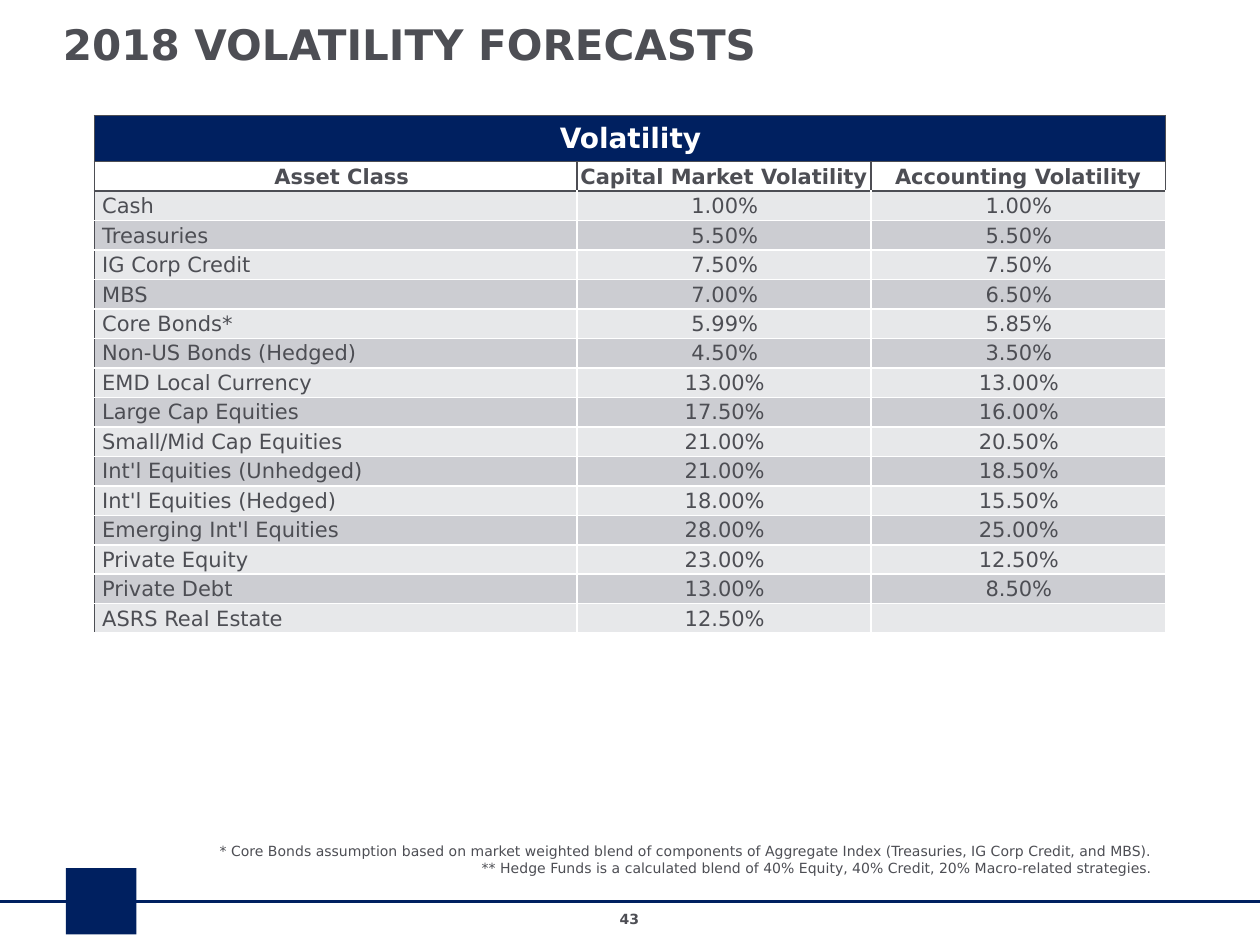
"""Build the 2018 volatility forecasts slide."""
import dataclasses

import pptx
import pptx.dml.color
import pptx.enum.shapes
import pptx.enum.text
import pptx.oxml.ns
import pptx.util
from lxml import etree

Cm = pptx.util.Cm
Pt = pptx.util.Pt
Align = pptx.enum.text.PP_ALIGN
Anchor = pptx.enum.text.MSO_ANCHOR
qn = pptx.oxml.ns.qn

FORECASTS = [
    ("Cash", "1.00%", "1.00%"),
    ("Treasuries", "5.50%", "5.50%"),
    ("IG Corp Credit", "7.50%", "7.50%"),
    ("MBS", "7.00%", "6.50%"),
    ("Core Bonds*", "5.99%", "5.85%"),
    ("Non-US Bonds (Hedged)", "4.50%", "3.50%"),
    ("EMD Local Currency", "13.00%", "13.00%"),
    ("Large Cap Equities", "17.50%", "16.00%"),
    ("Small/Mid Cap Equities", "21.00%", "20.50%"),
    ("Int'l Equities (Unhedged)", "21.00%", "18.50%"),
    ("Int'l Equities (Hedged)", "18.00%", "15.50%"),
    ("Emerging Int'l Equities", "28.00%", "25.00%"),
    ("Private Equity", "23.00%", "12.50%"),
    ("Private Debt", "13.00%", "8.50%"),
    ("ASRS Real Estate", "12.50%", ""),
]
HEADINGS = ("Asset Class", "Capital Market Volatility", "Accounting Volatility")
FOOTNOTES = [
    "* Core Bonds assumption based on market weighted blend of components of "
    "Aggregate Index (Treasuries, IG Corp Credit, and MBS).",
    "** Hedge Funds is a calculated blend of 40% Equity, 40% Credit, "
    "20% Macro-related strategies.",
]


@dataclasses.dataclass(frozen=True)
class Theme:
    """Colours, font and type sizes of the slide."""
    navy: str = "002060"
    ink: str = "4D4E54"
    white: str = "FFFFFF"
    bands: tuple = ("E7E8EA", "CCCDD2")
    font: str = "DejaVu Sans"
    title: int = 24
    banner: int = 16
    body: int = 12
    small: int = 8


def rgb(value):
    """Return the colour for a hex string."""
    return pptx.dml.color.RGBColor.from_string(value)


def write(tf, text, *, font, size, color, bold=False, align=Align.LEFT):
    """Fill a text frame with one formatted paragraph per line of text."""
    for i, line in enumerate(text.split("\n")):
        p = tf.paragraphs[0] if i == 0 else tf.add_paragraph()
        p.alignment = align
        if not line:
            etree.SubElement(p._p, qn("a:endParaRPr"), sz=str(size * 100))
            continue
        r = p.add_run()
        r.text = line
        r.font.name = font
        r.font.size = Pt(size)
        r.font.bold = bold
        r.font.color.rgb = rgb(color)


class Builder:
    """Draws styled elements on the current slide."""

    def __init__(self, slide, theme):
        """Keep the slide and its theme."""
        self.s = slide
        self.theme = theme

    def rule(self, x1, x2, y):
        """Draw a horizontal navy line."""
        sp = self.s.shapes.add_connector(
            pptx.enum.shapes.MSO_CONNECTOR.STRAIGHT, Cm(x1), Cm(y), Cm(x2), Cm(y))
        sp.line.color.rgb = rgb(self.theme.navy)
        sp.line.width = Pt(1.5)
        etree.SubElement(sp._element.spPr, qn("a:effectLst"))

    def block(self, x, y, w, h):
        """Draw a plain navy rectangle."""
        sp = self.s.shapes.add_shape(
            pptx.enum.shapes.MSO_SHAPE.RECTANGLE, Cm(x), Cm(y), Cm(w), Cm(h))
        sp.shadow.inherit = False
        sp.fill.solid()
        sp.fill.fore_color.rgb = rgb(self.theme.navy)
        sp.line.fill.background()

    def text(self, text, x, y, w, h, size, anchor=Anchor.TOP, **fmt):
        """Add a wrapped text box."""
        tf = self.s.shapes.add_textbox(Cm(x), Cm(y), Cm(w), Cm(h)).text_frame
        tf.word_wrap = True
        tf.vertical_anchor = anchor
        write(tf, text, font=self.theme.font, size=size, color=self.theme.ink, **fmt)

    def cell(self, cell, text, fill, borders, margin=0.03, size=None, color=None, **fmt):
        """Style one table cell; borders run left, right, top, bottom."""
        cell.vertical_anchor = Anchor.MIDDLE
        cell.margin_left = Cm(margin)
        cell.margin_right = cell.margin_bottom = 0
        cell.margin_top = Cm(0.02)
        tcPr = cell._tc.get_or_add_tcPr()
        for side, line in zip("LRTB", borders):
            ln = etree.SubElement(tcPr, qn(f"a:ln{side}"), w=str(Pt(1)))
            paint = etree.SubElement(ln, qn("a:solidFill"))
            etree.SubElement(paint, qn("a:srgbClr"), val=line)
        cell.fill.solid()
        cell.fill.fore_color.rgb = rgb(fill)
        write(cell.text_frame, text, font=self.theme.font,
              size=size or self.theme.body, color=color or self.theme.ink, **fmt)

    def table(self, banner, headings, rows, x, y, h, widths, banner_h):
        """Add the banded table with a merged banner row."""
        th = self.theme
        frame = self.s.shapes.add_table(
            len(rows) + 2, len(widths), Cm(x), Cm(y), Cm(sum(widths)), Cm(h))
        tbl = frame.table
        tbl.first_row = tbl.horz_banding = False
        for col, width in zip(tbl.columns, widths):
            col.width = Cm(width)
        for row in tbl.rows:
            row.height = Cm((h - banner_h) / (len(rows) + 1))
        tbl.rows[0].height = Cm(banner_h)

        boxed = (th.ink,) * 4
        for c, heading in enumerate(headings):
            self.cell(tbl.cell(0, c), "" if c else banner, th.navy, boxed,
                      size=th.banner, color=th.white, bold=True, align=Align.CENTER)
            self.cell(tbl.cell(1, c), heading, th.white, boxed, margin=0 if c else 0.25,
                      bold=True, align=Align.CENTER)
        tbl.cell(0, 0).merge(tbl.cell(0, len(widths) - 1))

        for r, values in enumerate(rows):
            for c, value in enumerate(values):
                borders = (th.white if c else th.ink, th.white,
                           th.white if r else th.ink, th.white)
                self.cell(tbl.cell(r + 2, c), value, th.bands[r % 2], borders,
                          margin=0.03 if c else 0.16,
                          align=Align.CENTER if c else Align.LEFT)


def main():
    """Build and save the deck."""
    prs = pptx.Presentation()
    prs.slide_width, prs.slide_height = Cm(25.4), Cm(19.05)
    theme = Theme()
    b = Builder(prs.slides.add_slide(prs.slide_layouts[6]), theme)
    b.rule(0, 25.4, 18.17)
    b.block(1.33, 17.5, 1.42, 1.34)
    b.text("2018 VOLATILITY FORECASTS", 1.02, 0.3, 22.86, 1.17, theme.title,
           anchor=Anchor.MIDDLE, bold=True)
    b.text("43", 9.73, 18.24, 5.92, 0.61, theme.small, bold=True, align=Align.CENTER)
    b.text("\n".join(FOOTNOTES), 1.9, 16.87, 21.59, 0.94, theme.small, align=Align.RIGHT)
    b.table("Volatility", HEADINGS, FORECASTS, x=1.9, y=2.33, h=10.44,
            widths=(9.73, 5.93, 5.93), banner_h=0.93)
    prs.save("out.pptx")


if __name__ == "__main__":
    main()
